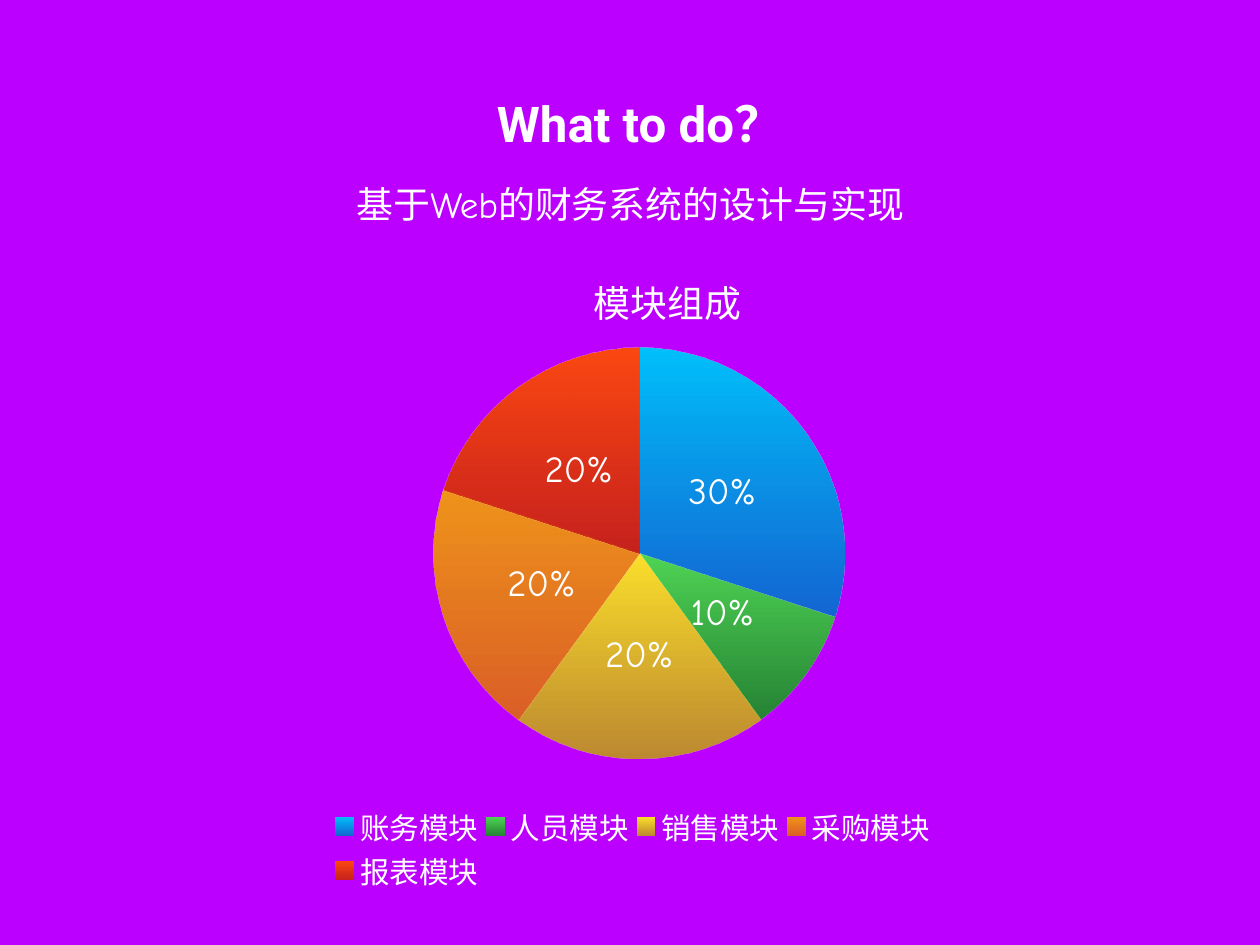
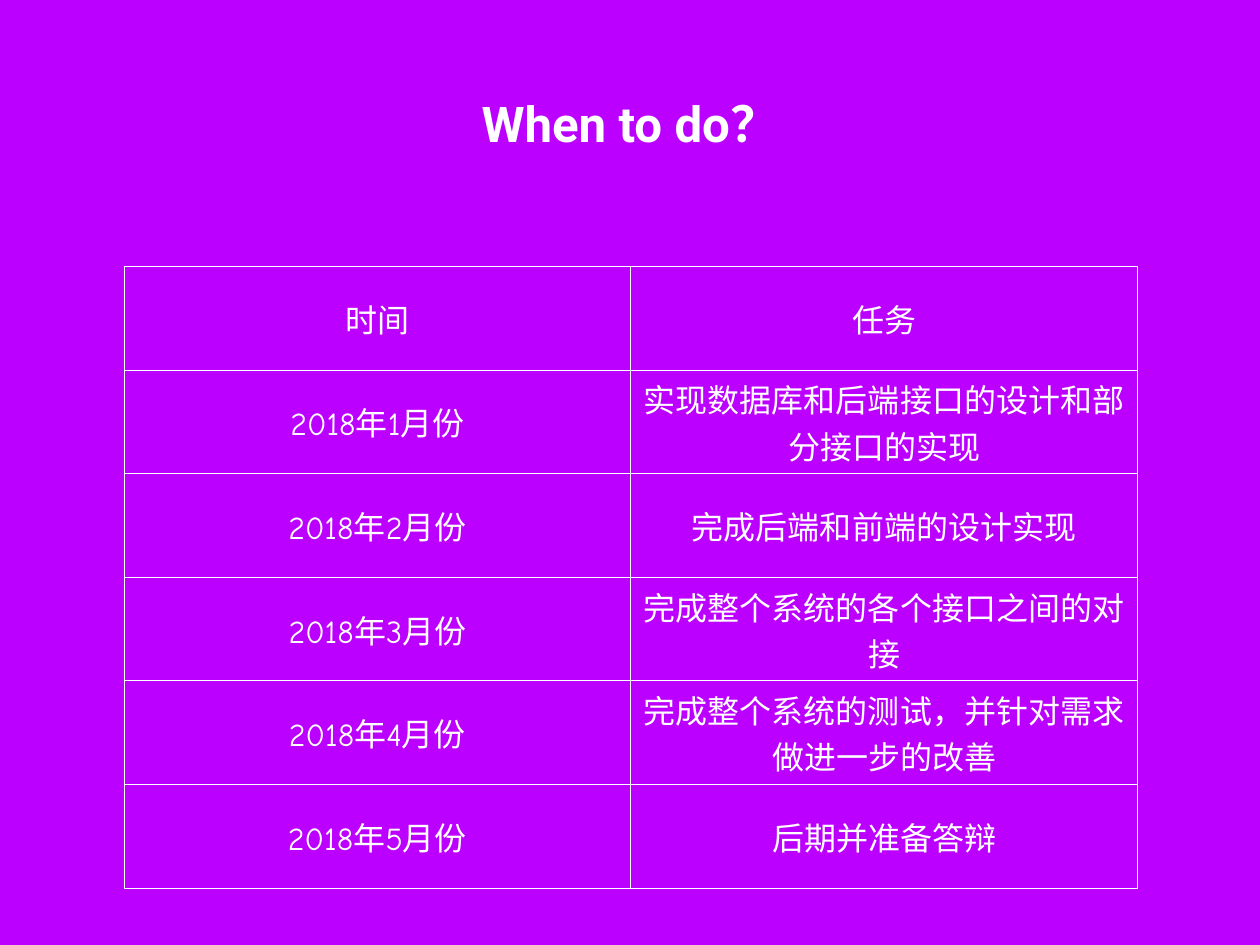
from dataclasses import dataclass

from lxml import etree
from pptx import Presentation
from pptx import util as u
from pptx.chart import data as cd
from pptx.dml.color import RGBColor
from pptx.enum import chart as ce
from pptx.enum import text as te
from pptx.oxml import ns


@dataclass(frozen=True)
class Theme:
    back: str = "BC00FF"
    ink: str = "FFFFFF"
    head: str = "Roboto"
    body: str = "Comic Neue"
    big: int = 40
    sub: int = 30
    cell: int = 26
    key: int = 24
    base: int = 10
    pad: float = 0.06
    rule: int = 1


T = Theme()

# Module name, share, gradient top and bottom
PARTS = [
    ("账务模块", 30, "00C1FB", "0073CF"),
    ("人员模块", 10, "50D655", "16931F"),
    ("销售模块", 20, "FCE12B", "BE9A1A"),
    ("采购模块", 20, "F0951A", "DF6B10"),
    ("报表模块", 20, "FC4912", "C92605"),
]

PLAN = [
    ("时间", "任务"),
    ("2018年1月份", "实现数据库和后端接口的设计和部分接口的实现"),
    ("2018年2月份", "完成后端和前端的设计实现"),
    ("2018年3月份", "完成整个系统的各个接口之间的对接"),
    ("2018年4月份", "完成整个系统的测试，并针对需求做进一步的改善"),
    ("2018年5月份", "后期并准备答辩"),
]


def rgb(code):
    return RGBColor.from_string(code)


def inch(box):
    return [u.Inches(v) for v in box]


def style(font, size, face=T.body, bold=False):
    font.size, font.name, font.bold = u.Pt(size), face, bold
    font.color.rgb = rgb(T.ink)


def inset(item):
    """Give a text frame or a cell the shared margins and anchor."""
    item.margin_left = item.margin_right = u.Inches(T.pad)
    item.margin_top = item.margin_bottom = u.Inches(T.pad)
    item.vertical_anchor = te.MSO_ANCHOR.MIDDLE


def write(frame, words, size, face=T.body, bold=False):
    """Fill a frame with one centred line of styled text."""
    frame.text = words
    para = frame.paragraphs[0]
    para.alignment = te.PP_ALIGN.CENTER
    for run in para.runs:
        style(run.font, size, face, bold)
    return para


def add_title(slide, words, box):
    title = slide.shapes.title
    title.left, title.top, title.width, title.height = inch(box)
    frame = title.text_frame
    frame.word_wrap = True
    frame.auto_size = te.MSO_AUTO_SIZE.NONE
    inset(frame)
    write(frame, words, T.big, T.head, True)


def add_sub(slide, words, box):
    frame = slide.shapes.add_textbox(*inch(box)).text_frame
    frame.word_wrap = True
    inset(frame)
    write(frame, words, T.sub).line_spacing = 0.82


def locate(node, index, inner=False, **spots):
    """Set a manual layout, in fractions of the chart, on a chart part."""
    for old in node.findall(ns.qn("c:layout")):
        node.remove(old)
    outer = etree.Element(ns.qn("c:layout"))
    man = etree.SubElement(outer, ns.qn("c:manualLayout"))
    vals = {"layoutTarget": "inner"} if inner else {}
    vals.update(xMode="edge", yMode="edge", **spots)
    for tag, val in vals.items():
        etree.SubElement(man, ns.qn("c:" + tag)).set("val", str(val))
    node.insert(index, outer)


def add_pie(slide, box):
    data = cd.CategoryChartData()
    data.categories = [part[0] for part in PARTS]
    data.add_series("Series 1", [part[1] for part in PARTS])
    chart = slide.shapes.add_chart(
        ce.XL_CHART_TYPE.PIE, *inch(box), data).chart
    style(chart.font, T.base)

    # Chart title
    chart.has_title = True
    write(chart.chart_title.text_frame, "模块组成", T.sub)
    root = chart._chartSpace.chart
    head = root.find(ns.qn("c:title"))
    locate(head, 1, x=0.43, y=0.02)
    over = head.find(ns.qn("c:overlay"))
    if over is not None:
        over.set("val", "1")

    # Legend
    chart.has_legend = True
    legend = chart.legend
    legend.position = ce.XL_LEGEND_POSITION.BOTTOM
    legend.include_in_layout = True
    style(legend.font, T.key)
    locate(root.find(ns.qn("c:legend")), 1, x=0.01, y=0.86, w=0.99, h=0.14)

    # Slices
    locate(root.plotArea, 0, inner=True, x=0.17, y=0.15, w=0.69, h=0.64)
    plot = chart.plots[0]
    plot.vary_by_categories = True
    for i, (_, _, top, low) in enumerate(PARTS):
        look = plot.series[0].points[i].format
        look.line.fill.background()
        look.fill.gradient()
        look.fill.gradient_angle = 270
        for stop, code in zip(look.fill.gradient_stops, (top, low)):
            stop.color.rgb = rgb(code)
    for stop in root.iter(ns.qn("a:gs")):
        if stop.get("pos") == "100000":
            etree.SubElement(stop[0], ns.qn("a:alpha")).set("val", "90000")

    # Percent labels
    plot.has_data_labels = True
    labels = plot.data_labels
    labels.show_percentage, labels.show_value = True, False
    labels.number_format, labels.number_format_is_linked = "#,##0%", False
    labels.position = ce.XL_LABEL_POSITION.CENTER
    style(labels.font, T.sub)


def border(cell):
    props = cell._tc.get_or_add_tcPr()
    for i, side in enumerate(("lnL", "lnR", "lnT", "lnB")):
        line = etree.Element(ns.qn("a:" + side), w=str(u.Pt(T.rule)))
        fill = etree.SubElement(line, ns.qn("a:solidFill"))
        etree.SubElement(fill, ns.qn("a:srgbClr")).set("val", T.ink)
        props.insert(i, line)


def add_plan(slide, box, high):
    grid = slide.shapes.add_table(len(PLAN), len(PLAN[0]), *inch(box)).table
    grid.first_row = grid.horz_banding = False
    for r, texts in enumerate(PLAN):
        grid.rows[r].height = u.Inches(high)
        for c, words in enumerate(texts):
            cell = grid.cell(r, c)
            cell.fill.background()
            inset(cell)
            write(cell.text_frame, words, T.cell)
            border(cell)


def what_slide(slide):
    add_title(slide, "What to do？", (5.44, 0.94, 3.57, 0.89))
    add_sub(slide, "基于Web的财务系统的设计与实现", (3.9, 1.97, 6.43, 0.74))
    add_pie(slide, (3.63, 2.84, 6.96, 7.25))


def when_slide(slide):
    add_title(slide, "When to do？", (5.26, 0.94, 3.71, 0.89))
    add_plan(slide, (1.4, 3.01, 11.44, 7.06), 1.17)


def main():
    deck = Presentation()
    deck.slide_width, deck.slide_height = inch((14.22, 10.67))
    fill = deck.slide_master.background.fill
    fill.solid()
    fill.fore_color.rgb = rgb(T.back)
    for build in (what_slide, when_slide):
        build(deck.slides.add_slide(deck.slide_layouts[5]))
    deck.save("out.pptx")


if __name__ == "__main__":
    main()
